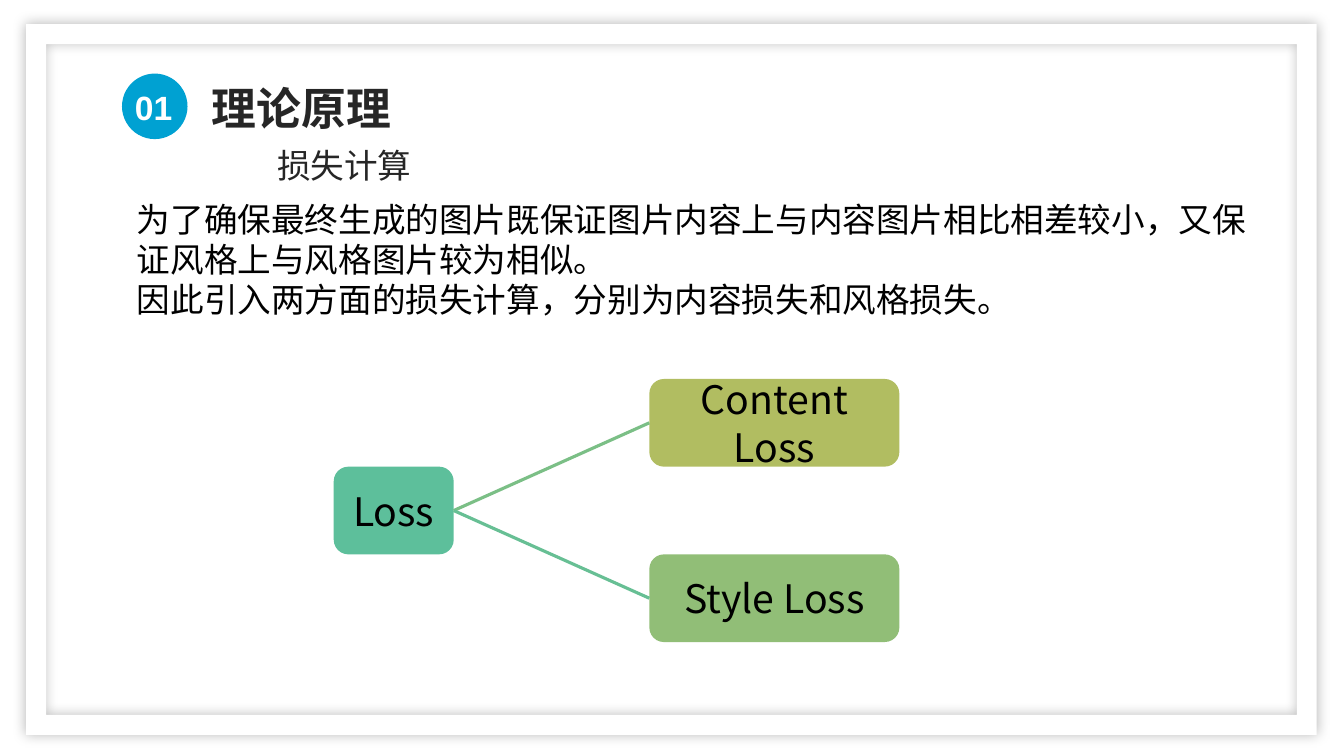
from lxml import etree
from pptx import Presentation
from pptx import util as u
from pptx.dml.color import RGBColor
from pptx.enum import shapes, text
from pptx.oxml.ns import qn

WIDTH, HEIGHT = 13.33, 7.5
NOTO = "Noto Sans CJK SC"
DARK, BLACK, WHITE, BLUE = "262626", "000000", "FFFFFF", "00A1D2"

# text, (left, top, width, height), format
TEXTS = [
    (["理论原理"], (2, 0.64, 1.99, 0.75),
     dict(size=32, color=DARK, bold=True, spacing=1.2)),
    (["01"], (1.24, 0.81, 0.62, 0.5), dict(size=24, color=WHITE, bold=True)),
    (["损失计算"], (2.65, 1.31, 1.76, 0.55),
     dict(size=24, color=DARK, spacing=1.2)),
    (["为了确保最终生成的图片既保证图片内容上与内容图片相比相差较小，又保证风格上与风格图片较为相似。",
      "因此引入两方面的损失计算，分别为内容损失和风格损失。"],
     (1.26, 1.92, 11.24, 1.31),
     dict(size=24, color=BLACK, font=NOTO, wrap=True)),
]
ROOT = ("Loss", "5DBF9B")
# text, fill, connector colour
BRANCHES = [("Content Loss", "B1BD61", "7BBF86"),
            ("Style Loss", "91BE77", "67BF94")]
ROW = 0.87
TREE_TOP = 3.76
ROOT_LEFT, ROOT_WIDTH = 3.31, 1.19
BRANCH_LEFT, BRANCH_WIDTH = 6.44, 2.48


def rgb(value):
    return RGBColor.from_string(value)


def inches(values):
    return [u.Inches(value) for value in values]


def write(frame, lines, size, color, font="Arial", bold=False, spacing=None,
          align=text.PP_ALIGN.LEFT, wrap=False):
    frame.word_wrap = wrap
    for index, line in enumerate(lines):
        para = frame.add_paragraph() if index else frame.paragraphs[0]
        para.alignment = align
        if spacing:
            para.line_spacing = spacing
        span = para.add_run()
        span.text = line
        span.font.size = u.Pt(size)
        span.font.name = font
        span.font.bold = bold
        span.font.color.rgb = rgb(color)
        east_asian = etree.SubElement(span.font._element, qn("a:ea"))
        east_asian.set("typeface", NOTO)


def add_filled(page, kind, place, fill):
    shape = page.shapes.add_shape(kind, *inches(place))
    shape.shadow.inherit = False
    shape.fill.solid()
    shape.fill.fore_color.rgb = rgb(fill)
    shape.line.fill.background()
    return shape


def add_glow_shadow(shape, color, alpha, blur):
    """Give the shape a soft, centred outer shadow; alpha in percent, blur in points."""
    effects = shape._element.spPr.find(qn("a:effectLst"))
    shadow = etree.SubElement(effects, qn("a:outerShdw"), blurRad=str(u.Pt(blur)),
                              dist="0", dir="0", algn="ctr", rotWithShape="0")
    tint = etree.SubElement(shadow, qn("a:srgbClr"), val=color)
    etree.SubElement(tint, qn("a:alpha"), val=str(alpha * 1000))


def add_node(page, label, place, fill):
    node = add_filled(page, shapes.MSO_SHAPE.ROUNDED_RECTANGLE, place, fill)
    node.text_frame.vertical_anchor = text.MSO_ANCHOR.MIDDLE
    write(node.text_frame, [label], size=28, color=BLACK, font=NOTO,
          align=text.PP_ALIGN.CENTER, wrap=True)
    return node


def join(page, start, end, color):
    """Draw a line from the right side of start to the left side of end."""
    line = page.shapes.add_connector(shapes.MSO_CONNECTOR.STRAIGHT, 0, 0, 0, 0)
    line.begin_connect(start, 3)
    line.end_connect(end, 1)
    line.line.color.rgb = rgb(color)
    line.line.width = u.Pt(2.25)
    etree.SubElement(line._element.spPr, qn("a:effectLst"))


def main():
    deck = Presentation()
    deck.slide_width, deck.slide_height = inches((WIDTH, HEIGHT))
    page = deck.slides.add_slide(deck.slide_layouts[6])

    border = add_filled(page, shapes.MSO_SHAPE.FRAME, (0.26, 0.24, 12.8, 7.05), WHITE)
    border.adjustments[0] = 0.028
    add_glow_shadow(border, BLACK, alpha=27, blur=9)
    add_filled(page, shapes.MSO_SHAPE.OVAL, (1.21, 0.73, 0.65, 0.65), BLUE)

    for lines, place, style in TEXTS:
        box = page.shapes.add_textbox(*inches(place))
        write(box.text_frame, lines, **style)
        box.text_frame.auto_size = text.MSO_AUTO_SIZE.SHAPE_TO_FIT_TEXT

    label, fill = ROOT
    root = add_node(page, label, (ROOT_LEFT, TREE_TOP + ROW, ROOT_WIDTH, ROW), fill)
    for index, (label, fill, line_color) in enumerate(BRANCHES):
        top = TREE_TOP + 2 * index * ROW
        branch = add_node(page, label, (BRANCH_LEFT, top, BRANCH_WIDTH, ROW), fill)
        join(page, root, branch, line_color)

    deck.save("out.pptx")


if __name__ == "__main__":
    main()
